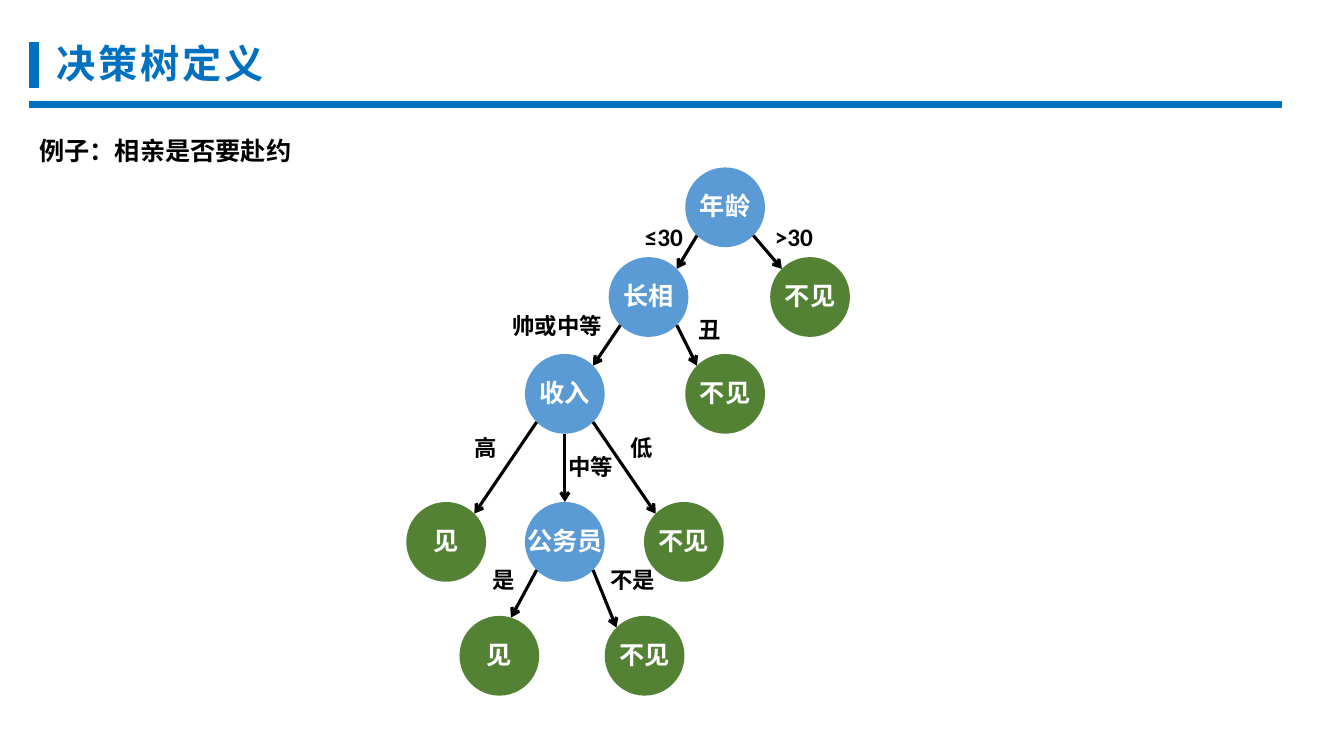
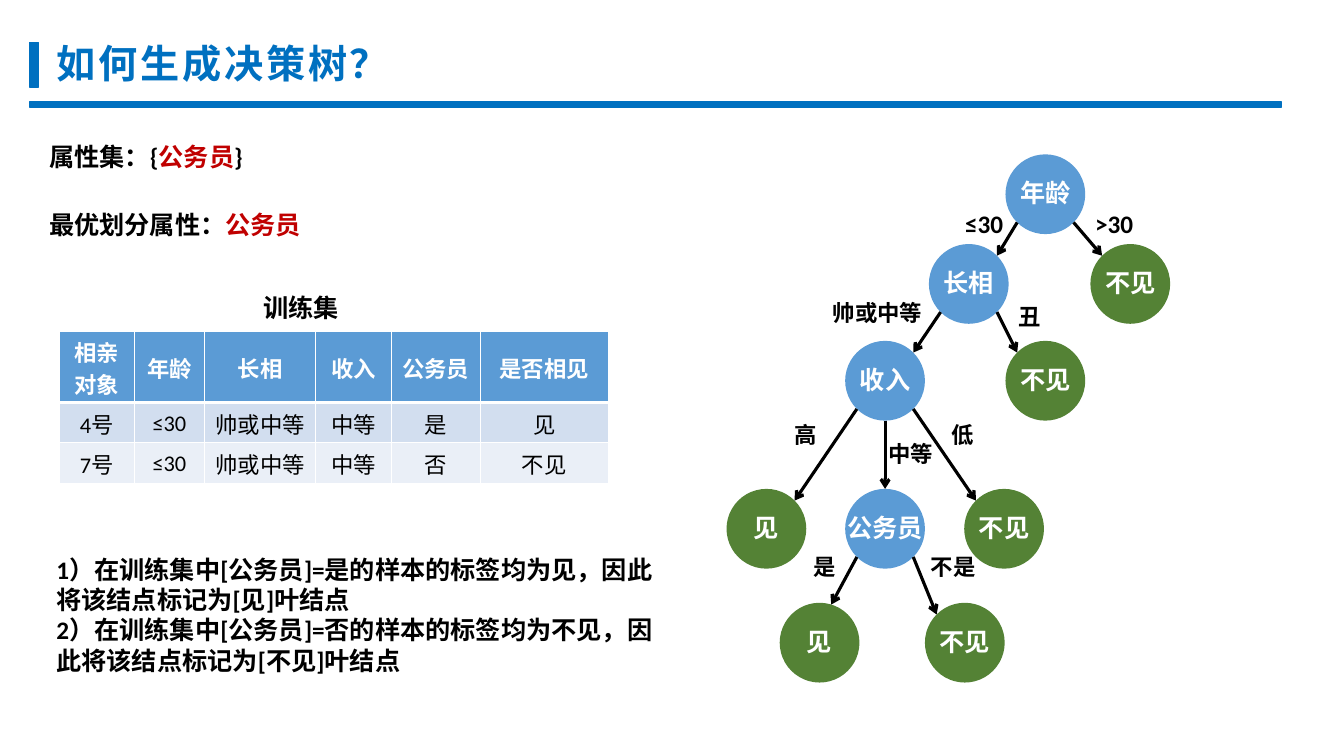
from dataclasses import dataclass
from math import cos, radians, sin

from lxml import etree
from pptx import Presentation
from pptx.dml.color import RGBColor
from pptx.enum.shapes import MSO_CONNECTOR, MSO_SHAPE
from pptx.enum.text import MSO_ANCHOR, MSO_AUTO_SIZE, PP_ALIGN
from pptx.oxml.ns import qn
from pptx.util import Cm, Pt

STRAIGHT = MSO_CONNECTOR.STRAIGHT
RECT, OVAL = MSO_SHAPE.RECTANGLE, MSO_SHAPE.OVAL
MIDDLE, TOP = MSO_ANCHOR.MIDDLE, MSO_ANCHOR.TOP
LEFT, CENTER = PP_ALIGN.LEFT, PP_ALIGN.CENTER
FIXED = MSO_AUTO_SIZE.NONE
LATIN, HAN = "Calibri", "Noto Sans CJK SC"
BLUE, SKY, GREEN, RED = "0070C0", "5B9BD5", "548235", "C00000"
BLACK, WHITE = "000000", "FFFFFF"
BANDS = ("D2DEEF", "EAEFF7")
SIZE = 2.01
SHIFT = (8.07, -0.33)


@dataclass
class Span:
    text: str
    color: str = BLACK


@dataclass
class Style:
    size: int = 18
    bold: bool = True
    font: str = LATIN
    han: str = LATIN
    align: int = LEFT
    space: int = 0


@dataclass
class Node:
    text: str
    x: float
    y: float
    fill: str = GREEN

    def rim(self, angle: float) -> tuple[float, float]:
        half, turn = SIZE / 2, radians(angle)
        return self.x + half + half * cos(turn), self.y + half + half * sin(turn)


@dataclass
class Edge:
    start: str
    end: str
    out: float
    into: float


@dataclass
class Label:
    text: str
    x: float
    y: float
    width: float
    size: int = 16


NODES = {
    "age": Node("年龄", 17.27, 4.22, SKY),
    "looks": Node("长相", 15.34, 6.48, SKY),
    "old": Node("不见", 19.41, 6.48),
    "pay": Node("收入", 13.23, 8.92, SKY),
    "plain": Node("不见", 17.27, 8.92),
    "rich": Node("见", 10.24, 12.65),
    "civil": Node("公务员", 13.23, 12.65, SKY),
    "poor": Node("不见", 16.23, 12.65),
    "yes": Node("见", 11.58, 15.52),
    "no": Node("不见", 15.24, 15.52),
}
EDGES = [
    Edge("age", "looks", 135, -45),
    Edge("age", "old", 45, -135),
    Edge("looks", "pay", 135, -45),
    Edge("looks", "plain", 45, -135),
    Edge("pay", "rich", 135, -45),
    Edge("pay", "civil", 90, -90),
    Edge("pay", "poor", 45, -135),
    Edge("civil", "yes", 135, -73),
    Edge("civil", "no", 45, -135),
]
LABELS = [
    Label("≤30", 16, 5.46, 1.57, 18),
    Label(">30", 19.28, 5.46, 1.57, 18),
    Label("帅或中等", 12.67, 7.75, 2.77),
    Label("丑", 17.35, 7.85, 1.1),
    Label("高", 11.71, 10.82, 1.1),
    Label("中等", 14.07, 11.3, 1.68),
    Label("低", 15.65, 10.82, 1.22),
    Label("是", 12.17, 14.15, 1.1),
    Label("不是", 15.14, 14.15, 1.88),
]
WIDTHS = (1.88, 1.78, 2.79, 1.91, 2.24, 3.23)
HEIGHTS = (1.78, 1.02, 1.02)
ROWS = [
    ("相亲对象", "年龄", "长相", "收入", "公务员", "是否相见"),
    ("4号", "≤30", "帅或中等", "中等", "是", "见"),
    ("7号", "≤30", "帅或中等", "中等", "否", "不见"),
]
NOTES = [
    [Span("1）在训练集中[公务员]=是的样本的标签均为见，因此将该结点标记为[见]叶结点")],
    [Span("2）在训练集中[公务员]=否的样本的标签均为不见，因此将该结点标记为[不见]叶结点")],
]


def paint(target, color: str) -> None:
    target.solid()
    target.fore_color.rgb = RGBColor.from_string(color)


def write(frame, paras: list[list[Span]], style: Style) -> None:
    looks = {"size": Pt(style.size), "bold": style.bold, "name": style.font}
    for i, spans in enumerate(paras):
        para = frame.add_paragraph() if i else frame.paragraphs[0]
        para.alignment = style.align
        for span in spans:
            run = para.add_run()
            run.text = span.text
            paint(run.font.fill, span.color)
            for key, value in looks.items():
                setattr(run.font, key, value)
            props = run.font._element
            etree.SubElement(props, qn("a:ea"), typeface=style.han)
            if style.space:
                props.set("spc", str(style.space * 100))


def setup(frame, **looks) -> None:
    for key, value in looks.items():
        setattr(frame, key, value)


def add_text(slide, x: float, y: float, width: float, height: float,
             paras: list[list[Span]], style: Style, wrap: bool = False) -> None:
    box = slide.shapes.add_textbox(Cm(x), Cm(y), Cm(width), Cm(height))
    setup(box.text_frame, word_wrap=wrap, auto_size=FIXED, vertical_anchor=TOP)
    write(box.text_frame, paras, style)


def add_bar(slide, x: float, y: float, width: float, height: float) -> None:
    bar = slide.shapes.add_shape(RECT, Cm(x), Cm(y), Cm(width), Cm(height))
    bar.shadow.inherit = False
    paint(bar.fill, BLUE)
    paint(bar.line.fill, BLUE)
    bar.line.width = Pt(1)


def add_slide(deck, title: str):
    slide = deck.slides.add_slide(deck.slide_layouts[5])
    add_bar(slide, 0.74, 1.07, 0.23, 1.12)
    add_bar(slide, 0.74, 2.57, 31.55, 0.13)
    head = slide.shapes.title
    setup(head, left=Cm(1.17), top=Cm(0.87), width=Cm(8.74), height=Cm(1.45))
    setup(head.text_frame, word_wrap=False, auto_size=FIXED, vertical_anchor=MIDDLE)
    write(head.text_frame, [[Span(title, BLUE)]], Style(28, font=HAN, han=HAN, space=2))
    return slide


def add_node(slide, node: Node, dx: float, dy: float) -> None:
    disc = slide.shapes.add_shape(OVAL, Cm(node.x + dx), Cm(node.y + dy), Cm(SIZE), Cm(SIZE))
    disc.shadow.inherit = False
    paint(disc.fill, node.fill)
    disc.line.fill.background()
    setup(disc.text_frame, word_wrap=False, vertical_anchor=MIDDLE,
          margin_left=0, margin_right=0, margin_top=0, margin_bottom=Cm(0.08))
    write(disc.text_frame, [[Span(node.text, WHITE)]], Style(align=CENTER))


def add_edge(slide, edge: Edge, dx: float, dy: float) -> None:
    x1, y1 = NODES[edge.start].rim(edge.out)
    x2, y2 = NODES[edge.end].rim(edge.into)
    link = slide.shapes.add_connector(
        STRAIGHT, Cm(x1 + dx), Cm(y1 + dy), Cm(x2 + dx), Cm(y2 + dy))
    paint(link.line.fill, BLACK)
    link.line.width = Pt(2.25)
    props = link._element.spPr
    etree.SubElement(props.find(qn("a:ln")), qn("a:tailEnd"), type="arrow")
    etree.SubElement(props, qn("a:effectLst"))


def add_tree(slide, dx: float = 0, dy: float = 0) -> None:
    for node in NODES.values():
        add_node(slide, node, dx, dy)
    for edge in EDGES:
        add_edge(slide, edge, dx, dy)
    for label in LABELS:
        add_text(slide, label.x + dx, label.y + dy, label.width, 1,
                 [[Span(label.text)]], Style(label.size))


def add_edging(cell, base: float) -> None:
    props = cell._tc.get_or_add_tcPr()
    for side, width in (("L", 1), ("R", 1), ("T", 1), ("B", base)):
        line = etree.SubElement(props, qn(f"a:ln{side}"), w=str(Pt(width)))
        fill = etree.SubElement(line, qn("a:solidFill"))
        etree.SubElement(fill, qn("a:srgbClr"), val=WHITE)


def add_grid(slide, x: float, y: float) -> None:
    grid = slide.shapes.add_table(
        len(ROWS), len(WIDTHS), Cm(x), Cm(y), Cm(sum(WIDTHS)), Cm(sum(HEIGHTS))).table
    for column, width in zip(grid.columns, WIDTHS):
        column.width = Cm(width)
    for i, (row, height) in enumerate(zip(ROWS, HEIGHTS)):
        grid.rows[i].height = Cm(height)
        first = i == 0
        for j, text in enumerate(row):
            cell = grid.cell(i, j)
            add_edging(cell, 3 if first else 1)
            paint(cell.fill, SKY if first else BANDS[i - 1])
            setup(cell, vertical_anchor=MIDDLE, margin_top=Cm(0.05), margin_bottom=0,
                  margin_left=Cm(0.2), margin_right=Cm(0.2))
            write(cell.text_frame, [[Span(text, WHITE if first else BLACK)]],
                  Style(16, first, han=HAN, align=CENTER))


def main() -> None:
    deck = Presentation()
    setup(deck, slide_width=Cm(33.87), slide_height=Cm(19.05))

    slide = add_slide(deck, "决策树定义")
    add_text(slide, 0.74, 3.28, 6.93, 1.02, [[Span("例子：相亲是否要赴约")]], Style())
    add_tree(slide)

    slide = add_slide(deck, "如何生成决策树？")
    pick = Span("公务员", RED)
    add_text(slide, 0.99, 3.43, 9.53, 1.02, [[Span("属性集：{"), pick, Span("}")]], Style())
    add_text(slide, 0.99, 5.16, 6.96, 1.02, [[Span("最优划分属性："), pick]], Style())
    add_text(slide, 6.38, 7.24, 2.54, 1.02, [[Span("训练集")]], Style())
    add_grid(slide, 1.5, 8.36)
    add_text(slide, 1.17, 13.84, 15.54, 3.33, NOTES, Style(), True)
    add_tree(slide, *SHIFT)

    deck.save("out.pptx")


if __name__ == "__main__":
    main()
